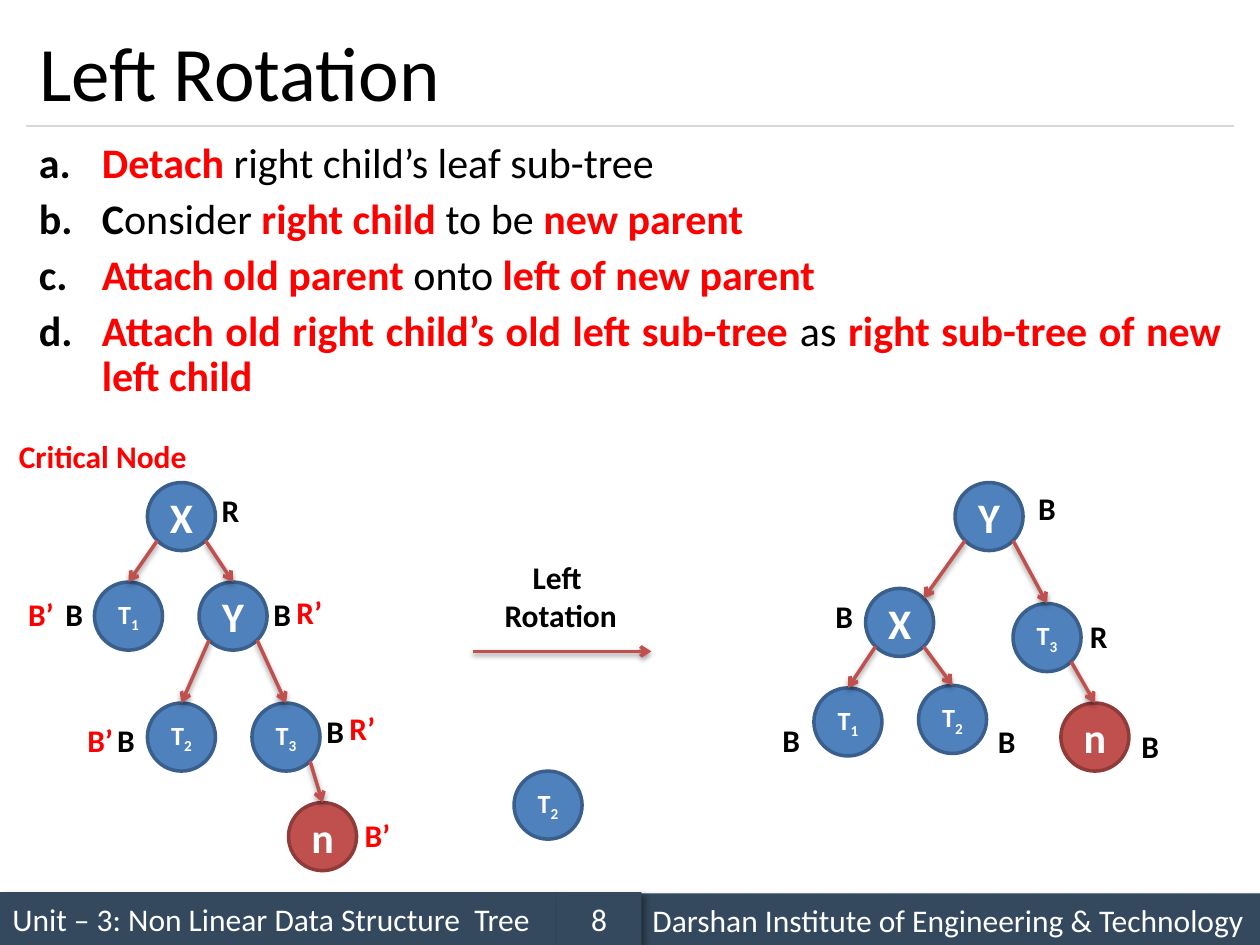
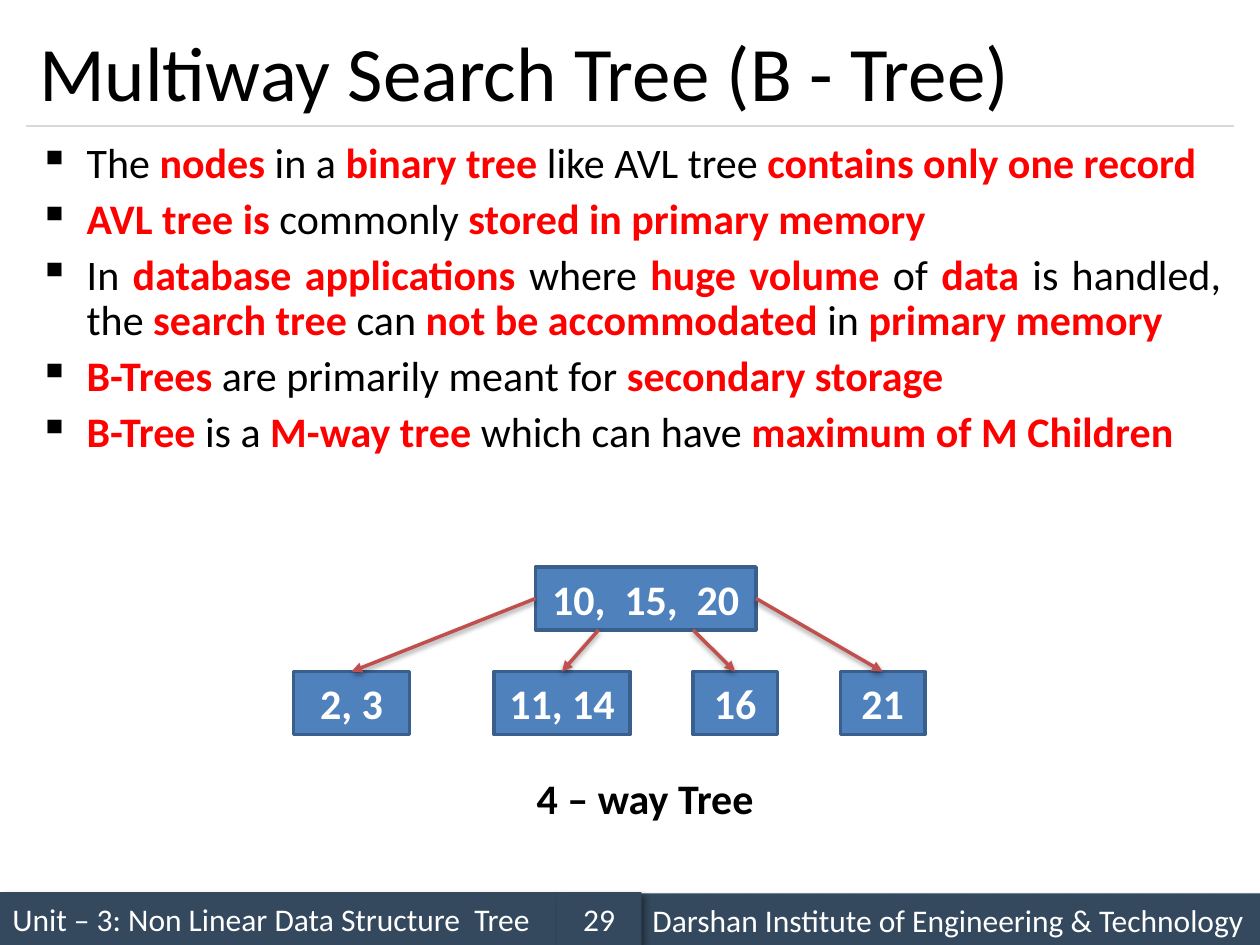
from dataclasses import dataclass
from math import sqrt

from lxml.etree import SubElement
from pptx import Presentation
from pptx.dml.color import RGBColor
from pptx.enum.shapes import MSO_CONNECTOR, MSO_SHAPE
from pptx.enum.text import MSO_ANCHOR, MSO_AUTO_SIZE, PP_ALIGN
from pptx.oxml.ns import qn
from pptx.util import Inches, Pt


@dataclass(frozen=True)
class Theme:
    font: str = "Calibri"
    black: str = "000000"
    white: str = "FFFFFF"
    red: str = "FF0000"
    band: str = "34495E"
    rule: str = "D9D9D9"
    blue: str = "4F81BD"
    blue_edge: str = "3A5F8C"
    brick: str = "C0504D"
    brick_edge: str = "8E3B39"
    title_size: int = 44
    body_size: int = 24
    label_size: int = 18
    subtree_size: int = 15
    line_width: float = 2
    rule_width: float = 0.75


THEME = Theme()
BAND_SHADOW = (40, 4, 3, 45)
ARROW_SHADOW = (38, 3.1, 1.6, 90)
NODE = 0.54
KEY_HEIGHT = 0.5


def color(value):
    return RGBColor.from_string(value)


def style_font(font, size, value, bold=False):
    font.name = THEME.font
    font.size = Pt(size)
    font.bold = bold
    font.color.rgb = color(value)


def cast_shadow(element, opacity, blur, distance, angle):
    properties = element.spPr
    effects = properties.find(qn("a:effectLst"))
    if effects is None:
        effects = SubElement(properties, qn("a:effectLst"))
    shadow = SubElement(effects, qn("a:outerShdw"), blurRad=str(Pt(blur)),
                        dist=str(Pt(distance)), dir=str(angle * 60000), rotWithShape="0")
    tone = SubElement(shadow, qn("a:srgbClr"), val=THEME.black)
    SubElement(tone, qn("a:alpha"), val=str(opacity * 1000))


def add_filled(page, preset, place, fill, edge=None):
    shape = page.shapes.add_shape(preset, *map(Inches, place))
    shape.shadow.inherit = False
    shape.fill.solid()
    shape.fill.fore_color.rgb = color(fill)
    if edge:
        shape.line.color.rgb = color(edge)
        shape.line.width = Pt(THEME.line_width)
    else:
        shape.line.fill.background()
    shape.text_frame.vertical_anchor = MSO_ANCHOR.MIDDLE
    shape.text_frame.word_wrap = False
    return shape


def add_line(page, start, end, value, width):
    line = page.shapes.add_connector(MSO_CONNECTOR.STRAIGHT, *map(Inches, (*start, *end)))
    line.line.color.rgb = color(value)
    line.line.width = Pt(width)
    SubElement(line._element.spPr, qn("a:effectLst"))
    return line


def add_arrow(page, start, end, head="arrow"):
    arrow = add_line(page, start, end, THEME.brick, THEME.line_width)
    SubElement(arrow.line._get_or_add_ln(), qn("a:tailEnd"), type=head)
    cast_shadow(arrow._element, *ARROW_SHADOW)


def add_band(page, place, text, alignment=PP_ALIGN.LEFT):
    band = add_filled(page, MSO_SHAPE.RECTANGLE, place, THEME.band)
    band.text_frame.word_wrap = True
    cast_shadow(band._element, *BAND_SHADOW)
    para = band.text_frame.paragraphs[0]
    para.text = text
    para.alignment = alignment
    style_font(para.font, THEME.label_size, THEME.white)


def add_page(deck, title, number):
    page = deck.slides.add_slide(deck.slide_layouts[5])
    add_band(page, (0, 7.08, 4.42, 0.42), "Unit – 3: Non Linear Data Structure  Tree")
    add_line(page, (0.21, 1), (9.79, 1), THEME.rule, THEME.rule_width)
    add_band(page, (5.08, 7.09, 4.92, 0.42), "Darshan Institute of Engineering & Technology")
    add_band(page, (4.42, 7.08, 0.67, 0.42), str(number), PP_ALIGN.CENTER)
    box = page.shapes.title
    box.left, box.top, box.width, box.height = map(Inches, (0.21, 0.12, 9.58, 0.88))
    box.text_frame.vertical_anchor = MSO_ANCHOR.MIDDLE
    para = box.text_frame.paragraphs[0]
    para.text = title
    para.alignment = PP_ALIGN.LEFT
    style_font(para.font, THEME.title_size, THEME.black)
    return page


def set_bullet(para, indent, tag, **marker):
    properties = para._p.get_or_add_pPr()
    properties.set("marL", str(Inches(indent)))
    properties.set("indent", str(-Inches(indent)))
    SubElement(SubElement(properties, qn("a:buClr")), qn("a:srgbClr"), val=THEME.black)
    SubElement(properties, qn(tag), **marker)


def add_points(page, height, points, indent, tag, **marker):
    """Text between asterisks is bold red; a leading caret keeps it bold black."""
    box = page.shapes.add_textbox(*map(Inches, (0.21, 1.08, 9.58, height)))
    frame = box.text_frame
    frame.word_wrap = True
    for index, point in enumerate(points):
        para = frame.add_paragraph() if index else frame.paragraphs[0]
        set_bullet(para, indent, tag, **marker)
        para.alignment = PP_ALIGN.JUSTIFY
        para.line_spacing = 0.9
        para.space_before = Pt(6 if index else 0)
        para.font.name = THEME.font
        para.font.size = Pt(THEME.body_size)
        for position, piece in enumerate(point.split("*")):
            if piece:
                span = para.add_run()
                span.text = piece.lstrip("^")
                strong = position % 2 == 1
                red = strong and not piece.startswith("^")
                style_font(span.font, THEME.body_size, THEME.red if red else THEME.black, strong)


def add_label(page, text, place, value=THEME.black, size=THEME.label_size):
    box = page.shapes.add_textbox(*map(Inches, place))
    frame = box.text_frame
    frame.word_wrap = False
    frame.auto_size = MSO_AUTO_SIZE.SHAPE_TO_FIT_TEXT
    frame.text = text
    for para in frame.paragraphs:
        para.alignment = PP_ALIGN.CENTER
        style_font(para.font, size, value, True)


def add_balance(page, text, left, top):
    primed = text.endswith("’")
    add_label(page, text, (left, top, 0.41 if primed else 0.34, 0.4),
              THEME.red if primed else THEME.black)


def add_node(page, name, left, top):
    fill, edge = (THEME.brick, THEME.brick_edge) if name == "n" else (THEME.blue, THEME.blue_edge)
    node = add_filled(page, MSO_SHAPE.OVAL, (left, top, NODE, NODE), fill, edge)
    para = node.text_frame.paragraphs[0]
    para.alignment = PP_ALIGN.CENTER
    letter, digit = name[0], name[1:]
    style_font(para.font, THEME.subtree_size if digit else THEME.body_size, THEME.white, True)
    para.add_run().text = letter
    if digit:
        span = para.add_run()
        span.text = digit
        span._r.get_or_add_rPr().set("baseline", "-25000")


def rim_point(corner, across, down):
    return tuple(start + NODE / 2 * (1 + step) for start, step in zip(corner, (across, down)))


def add_tree(page, nodes, edges):
    slant = 1 / sqrt(2)
    for name, corner in nodes.items():
        add_node(page, name, *corner)
    for parent, child, *target in edges:
        side = slant if nodes[child][0] > nodes[parent][0] else -slant
        end = (slant, -slant) if target else (0, -1)
        add_arrow(page, rim_point(nodes[parent], side, slant), rim_point(nodes[child], *end))


def add_key_box(page, keys, left, top, width):
    box = add_filled(page, MSO_SHAPE.RECTANGLE, (left, top, width, KEY_HEIGHT),
                     THEME.blue, THEME.blue_edge)
    para = box.text_frame.paragraphs[0]
    para.text = keys
    para.alignment = PP_ALIGN.CENTER
    style_font(para.font, THEME.body_size, THEME.white, True)


def build_left_rotation(deck):
    page = add_page(deck, "Left Rotation", 8)
    add_points(page, 2.25, [
        "*Detach *right child’s leaf sub-tree",
        "*^C*onsider *right child *to be *new parent*",
        "*Attach old parent* onto* left of new parent*",
        "*Attach old right child’s old left sub-tree* as *right sub-tree of new left child*",
    ], 0.5, "a:buAutoNum", type="alphaLcPeriod")

    add_tree(page, {"X": (1.17, 3.83), "T1": (0.75, 4.62), "Y": (1.58, 4.62),
                    "T2": (1.17, 5.58), "T3": (2, 5.58), "n": (2.29, 6.37)},
             [("X", "T1"), ("X", "Y"), ("Y", "T2"), ("Y", "T3"), ("T3", "n")])
    add_node(page, "T2", 4.08, 6.12)
    add_tree(page, {"Y": (7.58, 3.83), "T3": (8.04, 4.79), "n": (8.42, 5.58),
                    "X": (6.87, 4.67), "T1": (6.46, 5.46), "T2": (7.29, 5.44)},
             [("Y", "T3"), ("T3", "n"), ("X", "T1"), ("Y", "X", "shoulder"), ("X", "T2")])

    balances = {
        "B": [(0.83, 5.67), (2.49, 5.6), (2.07, 4.67), (0.42, 4.67), (6.11, 5.67),
              (7.82, 5.68), (8.96, 5.72), (6.53, 4.69), (8.14, 3.83)],
        "R": [(1.66, 3.85), (8.55, 4.85)],
        "B’": [(2.79, 6.43), (0.59, 5.67), (0.12, 4.67)],
        "R’": [(2.67, 5.58), (2.25, 4.66)],
    }
    for text, corners in balances.items():
        for corner in corners:
            add_balance(page, text, *corner)
    add_label(page, "Critical Node", (0.04, 3.42, 1.55, 0.4), THEME.red)
    add_label(page, "Left \nRotation", (3.9, 4.38, 1.1, 0.71))
    add_arrow(page, (3.75, 5.17), (5.17, 5.17))


def build_multiway_tree(deck):
    page = add_page(deck, "Multiway Search Tree (B - Tree)", 29)
    add_points(page, 2.75, [
        "The *nodes *in a *binary tree *like AVL tree *contains only one record*",
        "*AVL tree is* commonly *stored in primary memory*",
        "In *database applications *where *huge volume *of *data *is handled, the "
        "*search tree *can *not be accommodated *in *primary memory*",
        "*B-Trees* are primarily meant for *secondary storage*",
        "*B-Tree* is a *M-way tree *which can have *maximum of M Children*",
    ], 0.38, "a:buChar", char="▪")

    child_top = 5.33
    add_key_box(page, "10,  15,  20", 4.25, 4.5, 1.75)
    children = [("2, 3", 2.33, 0.92, (4.25, 4.75)), ("11, 14", 3.92, 1.08, (4.75, 5)),
                ("16", 5.5, 0.67, (5.5, 5)), ("21", 6.67, 0.67, (6, 4.75))]
    for keys, left, width, start in children:
        add_key_box(page, keys, left, child_top, width)
        add_arrow(page, start, (left + width / 2, child_top), "triangle")
    add_label(page, "4 – way Tree", (4.15, 6.08, 1.94, 0.5), size=THEME.body_size)


def main():
    deck = Presentation()
    deck.slide_width, deck.slide_height = Inches(10), Inches(7.5)
    build_left_rotation(deck)
    build_multiway_tree(deck)
    deck.save("out.pptx")


if __name__ == "__main__":
    main()
